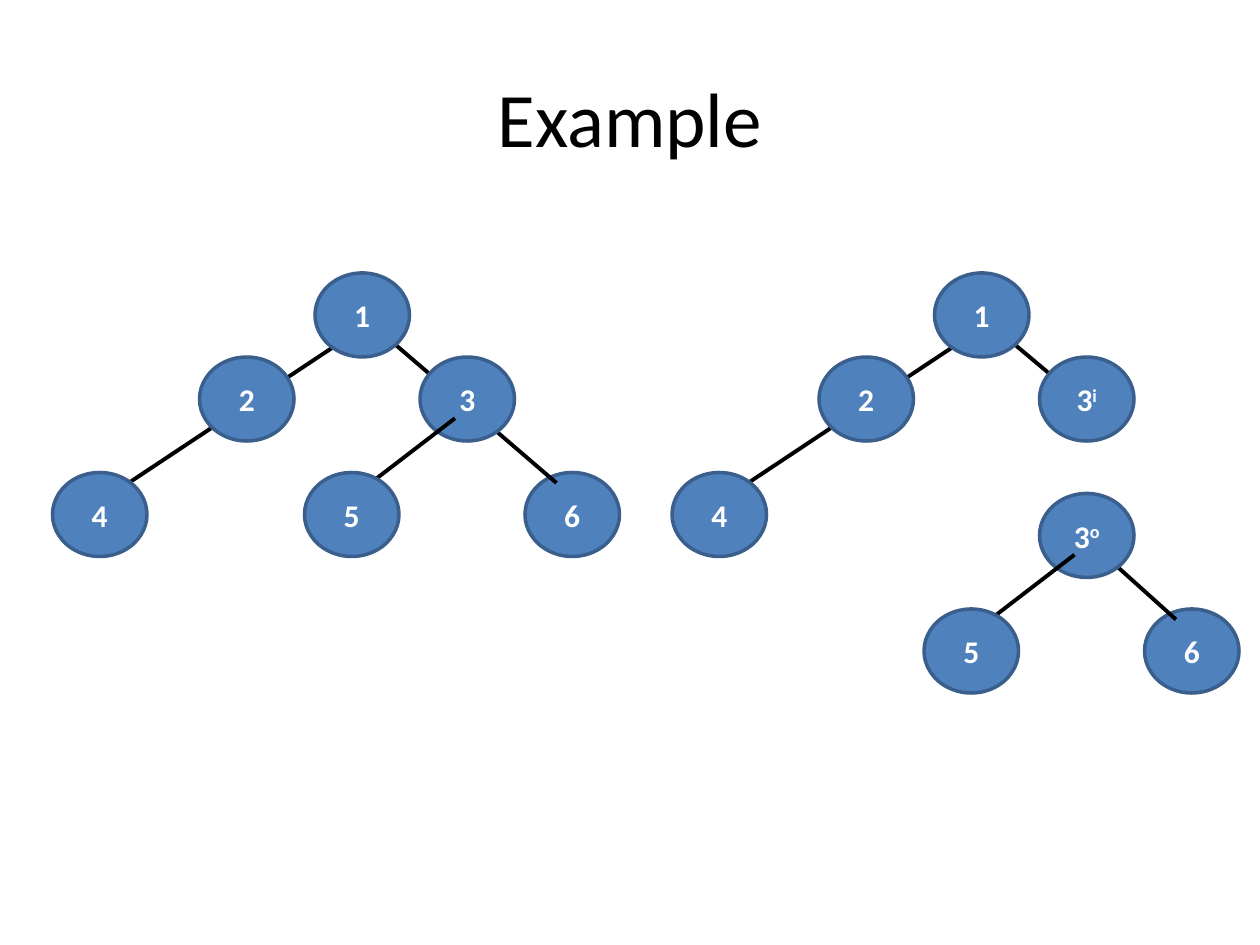
from lxml import etree
from pptx import Presentation
from pptx.dml.color import RGBColor
from pptx.enum import shapes, text
from pptx.oxml import ns
from pptx.util import Pt

NODE_WIDTH, NODE_HEIGHT = 54, 48
# Node corners and edge ends, relative to the top left of a tree
NODES = {"1": (150, 0), "2": (84, 48), "3": (210, 48),
         "4": (0, 114), "5": (144, 114), "6": (270, 114)}
EDGES = {"1-6": (196, 41, 288, 120), "1-3": (196, 41, 240, 78),
         "3-6": (228, 66, 288, 120), "1-4": (170, 36, 42, 121),
         "3-5": (230, 83, 174, 126)}


def color(value):
    """Turn a hex string into a colour."""
    return RGBColor.from_string(value)


def draw_tree(canvas, left, top, parts, mark):
    """Draw nodes and edges from back to front, with a superscript mark on node 3."""
    for part in parts.split():
        if part in EDGES:
            x1, y1, x2, y2 = EDGES[part]
            edge = canvas.add_connector(
                shapes.MSO_CONNECTOR.STRAIGHT,
                Pt(left + x1), Pt(top + y1), Pt(left + x2), Pt(top + y2))
            edge.line.color.rgb = color("000000")
            edge.line.width = Pt(2.25)
            etree.SubElement(edge._element.spPr, ns.qn("a:effectLst"))
            continue
        x, y = NODES[part]
        node = canvas.add_shape(shapes.MSO_SHAPE.OVAL, Pt(left + x), Pt(top + y),
                                Pt(NODE_WIDTH), Pt(NODE_HEIGHT))
        node.shadow.inherit = False
        node.fill.solid()
        node.fill.fore_color.rgb = color("4F81BD")
        node.line.color.rgb = color("3A5F8C")
        node.line.width = Pt(2)
        node.text_frame.vertical_anchor = text.MSO_ANCHOR.MIDDLE
        label = node.text_frame.paragraphs[0]
        label.alignment = text.PP_ALIGN.CENTER
        label.add_run().text = part
        if part == "3" and mark:
            superscript = label.add_run()
            superscript.text = mark
            superscript._r.get_or_add_rPr().set("baseline", "30000")
        for run in label.runs:
            for name, value in {"name": "Calibri", "size": Pt(18), "bold": True}.items():
                setattr(run.font, name, value)
            run.font.color.rgb = color("FFFFFF")


prs = Presentation()
prs.slide_width, prs.slide_height = Pt(720), Pt(540)
slide = prs.slides.add_slide(prs.slide_layouts[5])

title = slide.shapes.title
for name, value in {"left": 36, "top": 21.6, "width": 648, "height": 90}.items():
    setattr(title, name, Pt(value))
title.text_frame.text = "Example"
title.text_frame.vertical_anchor = text.MSO_ANCHOR.MIDDLE
heading = title.text_frame.paragraphs[0]
heading.alignment = text.PP_ALIGN.CENTER
heading_font = heading.runs[0].font
for name, value in {"name": "Calibri", "size": Pt(44)}.items():
    setattr(heading_font, name, value)
heading_font.color.rgb = color("000000")

# The full tree, then the same tree split at node 3
draw_tree(slide.shapes.add_group_shape().shapes, 30, 156, "6 1-6 3 1-4 2 1 4 3-5 5", "")
draw_tree(slide.shapes.add_group_shape().shapes, 384, 156, "1-3 3 1-4 2 1 4", "i")
draw_tree(slide.shapes, 384, 234, "6 3-6 3 3-5 5", "o")

prs.save("out.pptx")
